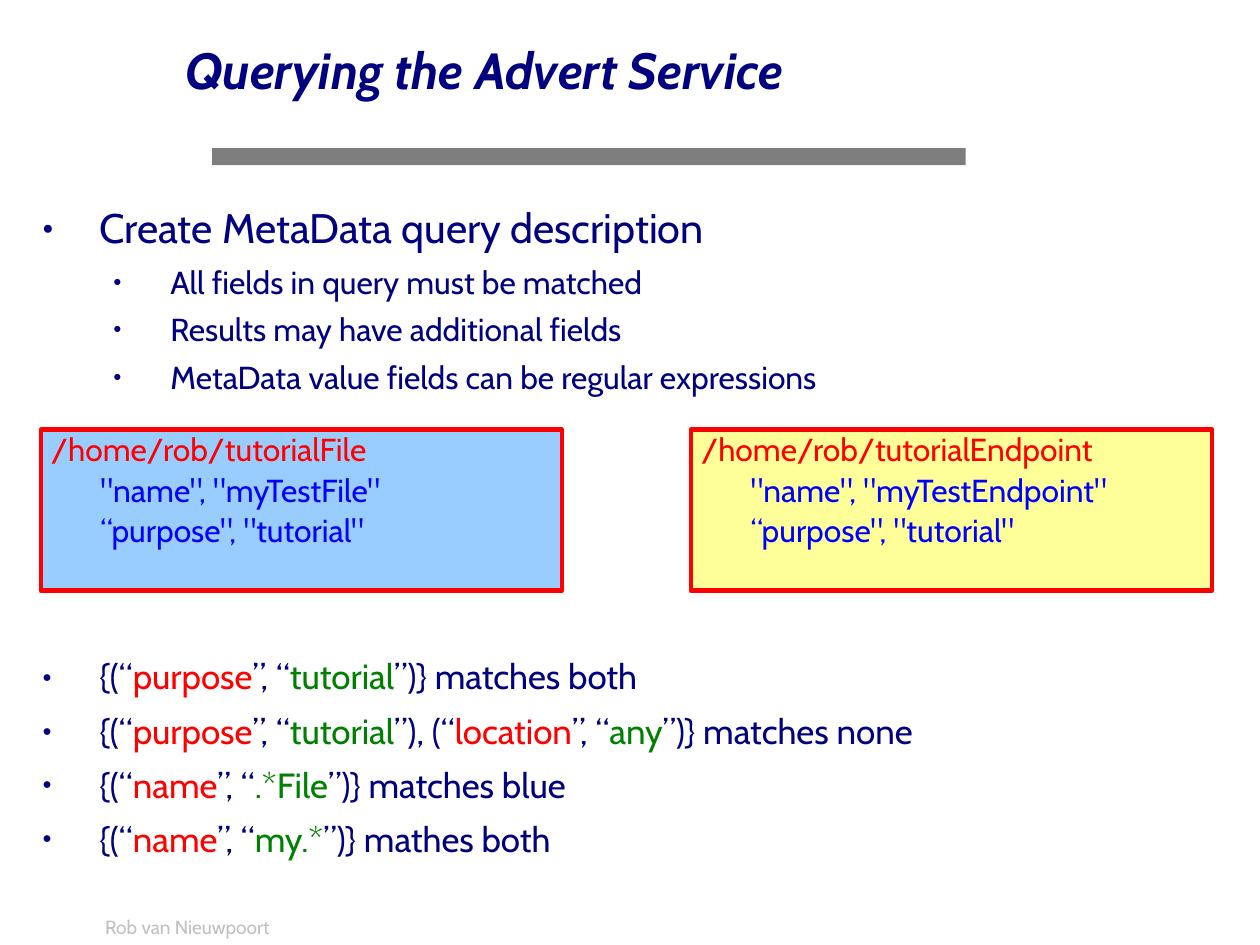
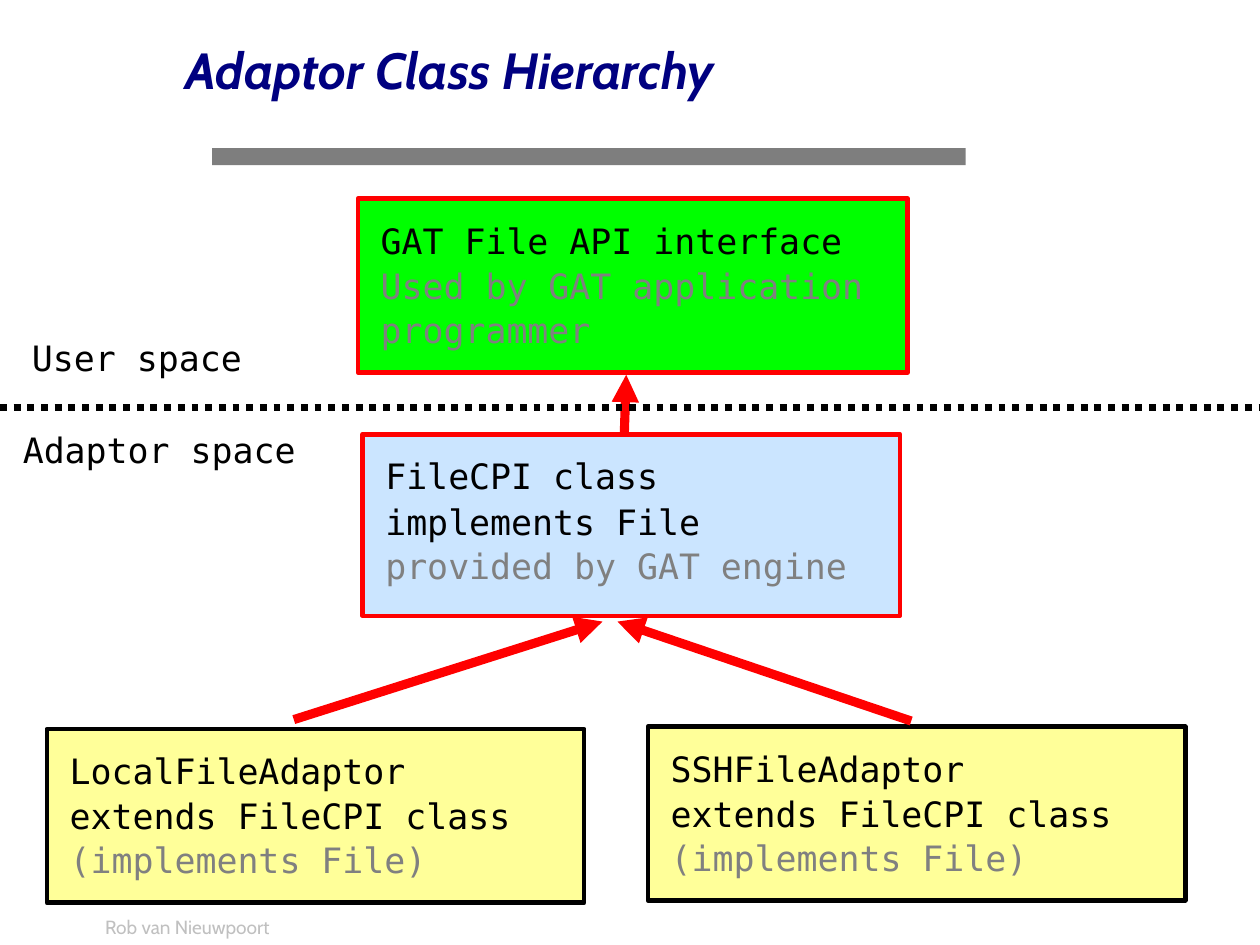
import pptx
import pptx.dml.color
import pptx.enum.dml
import pptx.enum.shapes
import pptx.enum.text
import pptx.oxml.ns
import pptx.util

INK = {
    "navy": "000080", "red": "FF0000", "blue": "0000FF", "green": "008000",
    "black": "000000", "gray": "808080", "bar": "7E7E7E", "silver": "C0C0C0",
    "sky": "99CCFF", "lemon": "FFFF99", "lime": "00FF00",
}
RGB = {name: pptx.dml.color.RGBColor.from_string(code) for name, code in INK.items()}
ANCHOR = pptx.enum.text.MSO_ANCHOR
SHAPE = pptx.enum.shapes.MSO_SHAPE
WIDE, HIGH = pptx.util.Cm(28), pptx.util.Cm(21)
SANS, MONO = "Cabin", "DejaVu Sans Mono"

TITLE = {"size": 32, "font": SANS, "bold": True, "italic": True, "anchor": ANCHOR.MIDDLE}
FOOT = {"size": 12, "font": SANS, "pad": 0.05, "before": 7.5, "anchor": ANCHOR.BOTTOM}
LIST = {"size": 26, "font": SANS, "before": 6.5, "gap": 1.04, "mark": True}
QUERY = {**LIST, "size": 22}
ENTRY = {"size": 20, "font": SANS, "pad": 0.02}
CODE = {"size": 22, "font": MONO, "pad": 0.2}


def span(*share):
    """Turn percentages of the slide (x, y, x, y) into lengths."""
    return [int(part * side / 100) for part, side in zip(share, (WIDE, HIGH) * 2)]


def write(frame, lines, look):
    """Fill a frame; each line is (runs, left indent in inches, own format values)."""
    pad = pptx.util.Inches(look.get("pad", 0))
    form = {f"margin_{side}": pad for side in ("left", "top", "right", "bottom")}
    form.update(word_wrap=True, auto_size=pptx.enum.text.MSO_AUTO_SIZE.NONE,
                vertical_anchor=look.get("anchor", ANCHOR.TOP))
    for key, val in form.items():
        setattr(frame, key, val)
    for row, (runs, left, own) in enumerate(lines):
        fmt = {**look, **own}
        para = frame.add_paragraph() if row else frame.paragraphs[0]
        form = {"alignment": pptx.enum.text.PP_ALIGN.LEFT, "level": fmt.get("level", 0),
                "line_spacing": fmt.get("gap", 1.05) if row else 0.98,
                "space_before": pptx.util.Pt(fmt.get("before", 0))}
        for key, val in form.items():
            setattr(para, key, val)
        props = para._p.get_or_add_pPr()
        props.set("marL", str(pptx.util.Inches(left)))
        props.set("indent", str(pptx.util.Inches(-0.5 if "mark" in fmt else 0)))
        if "mark" in fmt:
            nodes = {}
            for tag, atts in (("buClr", {}), ("buSzPct", {"val": "45000"}),
                              ("buChar", {"char": "●"})):
                nodes[tag] = props.makeelement(pptx.oxml.ns.qn("a:" + tag), atts)
                props.append(nodes[tag])
            nodes["buClr"].append(
                props.makeelement(pptx.oxml.ns.qn("a:srgbClr"), {"val": INK["navy"]}))
        for text, ink in runs:
            run = para.add_run()
            run.text = text
            run.font.color.rgb = RGB[ink]
            form = {"name": fmt["font"], "size": pptx.util.Pt(fmt["size"]),
                    "bold": fmt.get("bold", False), "italic": fmt.get("italic", False)}
            for key, val in form.items():
                setattr(run.font, key, val)


deck = pptx.Presentation()
deck.slide_width = WIDE
deck.slide_height = HIGH
deck.element.sldSz.attrib.pop("type", None)
advert = deck.slides.add_slide(deck.slide_layouts[3])
tree = deck.slides.add_slide(deck.slide_layouts[5])

# Shared band and footer live on the master
bar = advert.shapes.add_shape(SHAPE.ROUNDED_RECTANGLE, *span(16.84, 15.67, 59.8, 1.81))
bar.adjustments[0] = 0.01
bar.shadow.inherit = False
bar.fill.solid()
bar.fill.fore_color.rgb = RGB["bar"]
bar.line.fill.background()
foot = advert.shapes.add_textbox(*span(7.44, 95.95, 22, 4))
write(foot.text_frame, [([("Rob van Nieuwpoort", "silver")], 0.05, {})], FOOT)
for num, item in enumerate((bar, foot), 101):
    item.element.xpath(".//p:cNvPr")[0].set("id", str(num))
    deck.slide_master.shapes.element.append(item.element)

# Titles
for slide, text in ((advert, "Querying the Advert Service"), (tree, "Adaptor Class Hierarchy")):
    head = slide.shapes.title
    head.left, head.top, head.width, head.height = span(14.7, 0, 62.7, 15.1)
    write(head.text_frame, [([(text, "navy")], 0, {})], TITLE)

# Lists of the advert slide
sub = {"level": 1, "size": 20, "before": 5}
points = [([("Create MetaData query description", "navy")], 0.5, {})]
for text in ("All fields in query must be matched", "Results may have additional fields",
             "MetaData value fields can be regular expressions"):
    points.append(([(text, "navy")], 1.12, sub))

queries = []
for pairs, result in (
    ([("purpose", "tutorial")], "matches both"),
    ([("purpose", "tutorial"), ("location", "any")], "matches none"),
    ([("name", ".*File")], "matches blue"),
    ([("name", "my.*")], "mathes both"),
):
    runs, lead = [], "{(“"
    for key, val in pairs:
        runs += [(lead, "navy"), (key, "red"), ("”, “", "navy"), (val, "green")]
        lead = "”), (“"
    queries.append((runs + [("”)} " + result, "navy")], 0.5, {}))

for idx, top, lines, look in ((1, 21.64, points, LIST), (2, 69.5, queries, QUERY)):
    body = advert.placeholders[idx]
    body.left, body.top, body.width, body.height = span(3.36, top, 93.4, 22)
    write(body.text_frame, lines, look)

# Panels: slide, place, fill, opacity, border, lines, look
panels = []
for left, fill, name in ((3.25, "sky", "File"), (54.85, "lemon", "Endpoint")):
    lines = [([("/home/rob/tutorial" + name, "red")], 0.07, {}),
             ([(f'"name", "myTest{name}"', "blue")], 0.5, {}),
             ([('“purpose", "tutorial"', "blue")], 0.5, {})]
    panels.append((advert, (left, 45.45, 41.35, 17.05), fill, 100, "red", lines, ENTRY))

for place, fill, solid, edge, texts, dark in (
    ((28.4, 21.04, 43.65, 18.38), "lime", 100, "red",
     ("GAT File API interface", "Used by GAT application", "programmer"), 1),
    ((28.77, 45.95, 42.65, 19.23), "sky", 50, "red",
     ("FileCPI class", "implements File", "provided by GAT engine"), 2),
    ((3.72, 77.15, 42.65, 18.38), "lemon", 100, "black",
     ("LocalFileAdaptor", "extends FileCPI class", "(implements File)"), 2),
    ((51.42, 76.9, 42.65, 18.38), "lemon", 100, "black",
     ("SSHFileAdaptor", "extends FileCPI class", "(implements File)"), 2),
):
    lines = [([(text, "black" if row < dark else "gray")], 0, {})
             for row, text in enumerate(texts)]
    panels.append((tree, place, fill, solid, edge, lines, CODE))

for slide, place, fill, solid, edge, lines, look in panels:
    panel = slide.shapes.add_shape(SHAPE.RECTANGLE, *span(*place))
    panel.shadow.inherit = False
    panel.fill.solid()
    panel.fill.fore_color.rgb = RGB[fill]
    if solid < 100:
        tint = panel.element.spPr.find(".//" + pptx.oxml.ns.qn("a:srgbClr"))
        alpha = tint.makeelement(pptx.oxml.ns.qn("a:alpha"), {"val": str(solid * 1000)})
        tint.append(alpha)
    panel.line.color.rgb = RGB[edge]
    panel.line.width = pptx.util.Pt(2.89)
    write(panel.text_frame, lines, look)

# Arrows and the border between the two spaces
for start, end, ink, width, arrow in (
    ((49.55, 45.83), (49.7, 39.66), "red", 5.75, True),
    ((23.32, 76.15), (47.82, 65.78), "red", 5.75, True),
    ((72.32, 76.3), (49, 65.78), "red", 5.75, True),
    ((0, 43.15), (100, 43.15), "black", 4.31, False),
):
    link = tree.shapes.add_connector(
        pptx.enum.shapes.MSO_CONNECTOR.STRAIGHT, *span(*start, *end))
    link.line.color.rgb = RGB[ink]
    link.line.width = pptx.util.Pt(width)
    if arrow:
        line = link.get_or_add_ln()
        line.append(line.makeelement(pptx.oxml.ns.qn("a:tailEnd"), {"type": "triangle"}))
    else:
        link.line.dash_style = pptx.enum.dml.MSO_LINE.ROUND_DOT
    props = link.element.spPr
    props.append(props.makeelement(pptx.oxml.ns.qn("a:effectLst"), {}))

for text, left, top in (("User space", 0.73, 33.45), ("Adaptor space", 0, 43.15)):
    label = tree.shapes.add_textbox(*span(left, top, 27, 9.2))
    write(label.text_frame, [([(text, "black")], 0, {})], CODE)

deck.save("out.pptx")
